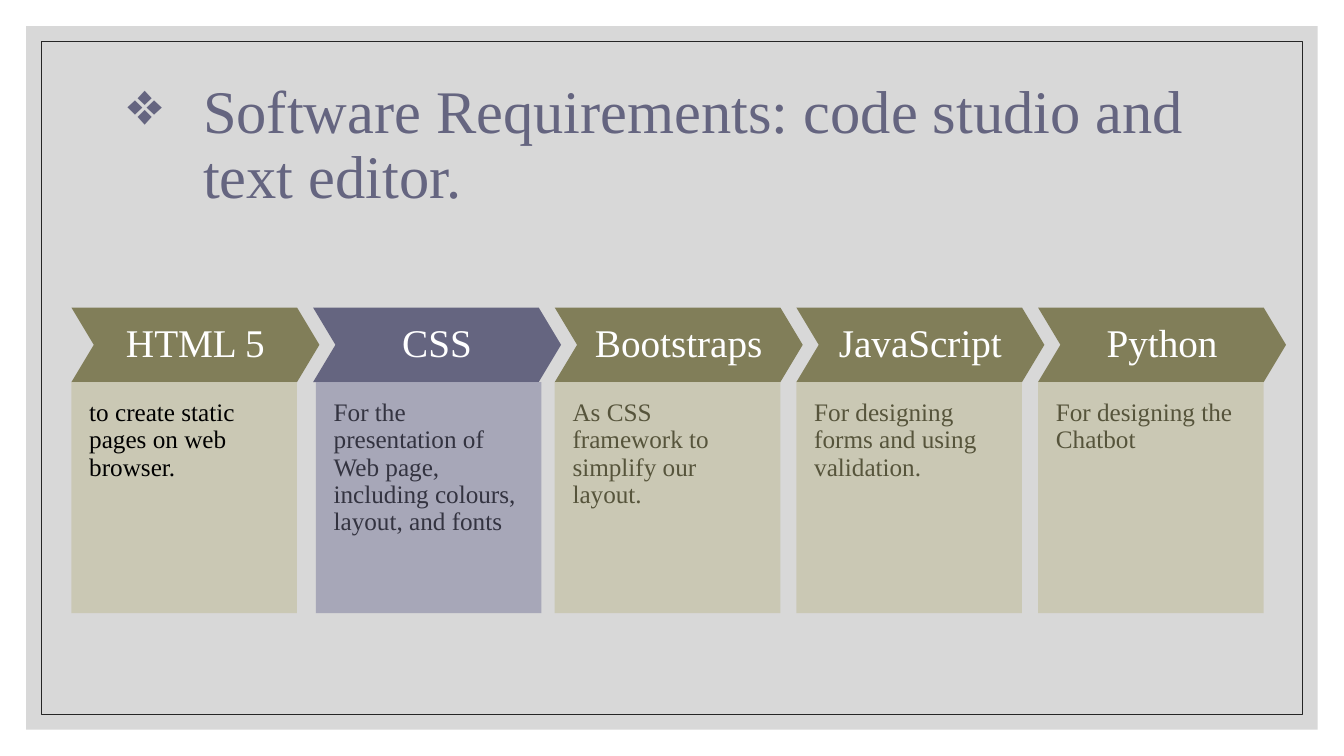
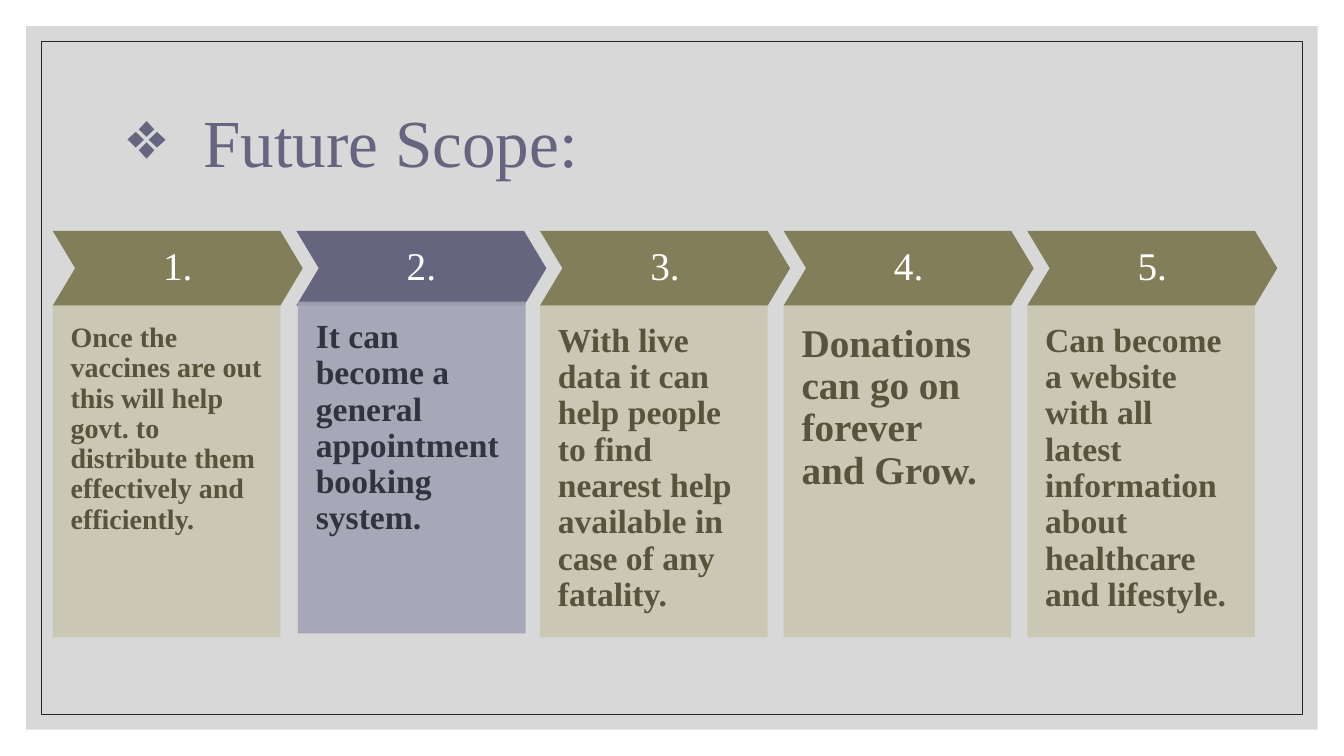
from lxml import etree
from pptx import Presentation
from pptx.dml.color import RGBColor
from pptx.enum.shapes import MSO_SHAPE
from pptx.enum.text import MSO_ANCHOR, PP_ALIGN
from pptx.oxml.ns import qn
from pptx.util import Cm, Pt

RECTANGLE, CHEVRON = MSO_SHAPE.RECTANGLE, MSO_SHAPE.CHEVRON
TOP, MIDDLE = MSO_ANCHOR.TOP, MSO_ANCHOR.MIDDLE
LEFT, CENTER = PP_ALIGN.LEFT, PP_ALIGN.CENTER

WHITE = RGBColor(0xFF, 0xFF, 0xFF)
BLACK = RGBColor(0x00, 0x00, 0x00)
GREY = RGBColor(0xBF, 0xBF, 0xBF)
CHARCOAL = RGBColor(0x26, 0x26, 0x26)
OLIVE = RGBColor(0x81, 0x7E, 0x59)
PALE_OLIVE = RGBColor(0xC9, 0xC7, 0xB1)
DARK_OLIVE = RGBColor(0x56, 0x54, 0x3B)
PURPLE = RGBColor(0x65, 0x65, 0x80)
PALE_PURPLE = RGBColor(0xA2, 0xA2, 0xB5)
DARK_PURPLE = RGBColor(0x33, 0x33, 0x40)

FONT = "Times New Roman"
NOTCH = 0.3  # chevron point as a share of its height
CHEVRON_HEIGHT = 1.88
HIGHLIGHT = 1  # index of the purple step

# Each step: heading, text, text size, text colour
SLIDES = [
    {
        "title": "Software Requirements: code studio and text editor.",
        "title_size": 43.2,
        "left": 1.8, "top": 7.75, "pitch": 6.09, "chevron_width": 6.25,
        "body_height": 5.82, "highlight_shift": (0.07, 0), "bold": False,
        "steps": [
            ("HTML 5", "to create static pages on web browser.", 18, BLACK),
            ("CSS", "For the presentation of Web page, including colours, "
                    "layout, and fonts", 18, DARK_PURPLE),
            ("Bootstraps", "As CSS framework to simplify our layout.",
             18, DARK_OLIVE),
            ("JavaScript", "For designing forms and using validation.",
             18, DARK_OLIVE),
            ("Python", "For designing the Chatbot", 18, DARK_OLIVE),
        ],
    },
    {
        "title": "Future Scope:",
        "title_size": 48,
        "left": 1.33, "top": 5.82, "pitch": 6.14, "chevron_width": 6.3,
        "body_height": 8.36, "highlight_shift": (0.04, -0.1), "bold": True,
        "steps": [
            ("1.", "Once the vaccines are out this will help govt. to "
                   "distribute them effectively and efficiently.",
             20, DARK_OLIVE),
            ("2.", "It can become a general appointment booking system.",
             24, DARK_PURPLE),
            ("3.", "With live data it can help people to find nearest help "
                   "available in case of any fatality.", 24, DARK_OLIVE),
            ("4.", "Donations can go on forever and Grow.", 28, DARK_OLIVE),
            ("5.", "Can become a website with all latest information about "
                   "healthcare and lifestyle.", 24, DARK_OLIVE),
        ],
    },
]


def add_panel(slide, kind, box, fill=None, opacity=100):
    shape = slide.shapes.add_shape(kind, *[Cm(value) for value in box])
    shape.shadow.inherit = False
    shape.line.fill.background()
    if fill is None:
        shape.fill.background()
        return shape
    shape.fill.solid()
    shape.fill.fore_color.rgb = fill
    if opacity < 100:
        color = shape._element.spPr.find(qn("a:solidFill"))[0]
        etree.SubElement(color, qn("a:alpha"), val=str(opacity * 1000))
    return shape


def write_text(shape, text, size, color, margins, anchor=MIDDLE,
               alignment=LEFT, bold=False, bullet=None):
    frame = shape.text_frame
    frame_format = {"word_wrap": True, "vertical_anchor": anchor}
    sides = ("margin_left", "margin_top", "margin_right", "margin_bottom")
    frame_format.update(zip(sides, [Cm(margin) for margin in margins]))
    for name, value in frame_format.items():
        setattr(frame, name, value)
    paragraph = frame.paragraphs[0]
    paragraph.alignment = alignment
    paragraph.line_spacing = 0.9
    if bullet:
        properties = paragraph._p.get_or_add_pPr()
        properties.set("marL", str(Cm(1.9)))
        properties.set("indent", str(Cm(-1.9)))
        etree.SubElement(properties, qn("a:buChar"), char=bullet)
    run = paragraph.add_run()
    run.text = text
    for name, value in {"name": FONT, "size": Pt(size), "bold": bold}.items():
        setattr(run.font, name, value)
    run.font.color.rgb = color


presentation = Presentation()
presentation.slide_width = Cm(33.87)
presentation.slide_height = Cm(19.05)

for content in SLIDES:
    slide = presentation.slides.add_slide(presentation.slide_layouts[6])

    # Grey panel with a thin frame
    add_panel(slide, RECTANGLE, (0.66, 0.66, 32.55, 17.73), GREY, 60)
    border = add_panel(slide, RECTANGLE, (1.04, 1.04, 31.79, 16.97))
    border.line.color.rgb = CHARCOAL
    border.line.width = Pt(0.5)

    # Title
    title = slide.shapes.add_textbox(Cm(2.97), Cm(1.78), Cm(27.94), Cm(3.81))
    write_text(title, content["title"], content["title_size"], PURPLE,
               (0.25, 0.13, 0.25, 0.13), bullet="❖")

    # Row of chevrons, each with a text panel below
    chevron_width = content["chevron_width"]
    body_width = chevron_width - NOTCH * CHEVRON_HEIGHT
    for index, (heading, text, size, color) in enumerate(content["steps"]):
        left = content["left"] + index * content["pitch"]
        top = content["top"]
        head_fill, body_fill, shift = OLIVE, PALE_OLIVE, (0, 0)
        if index == HIGHLIGHT:
            head_fill, body_fill = PURPLE, PALE_PURPLE
            shift = content["highlight_shift"]

        chevron = add_panel(
            slide, CHEVRON, (left, top, chevron_width, CHEVRON_HEIGHT),
            head_fill)
        chevron.adjustments[0] = NOTCH
        write_text(chevron, heading, 28, WHITE, (0.23,) * 4, alignment=CENTER)

        body = add_panel(
            slide, RECTANGLE,
            (left + shift[0], top + CHEVRON_HEIGHT + shift[1],
             body_width, content["body_height"]),
            body_fill, 90)
        write_text(body, text, size, color, (0.45, 0.45, 0.45, 0.9),
                   anchor=TOP, bold=content["bold"])

presentation.save("out.pptx")
